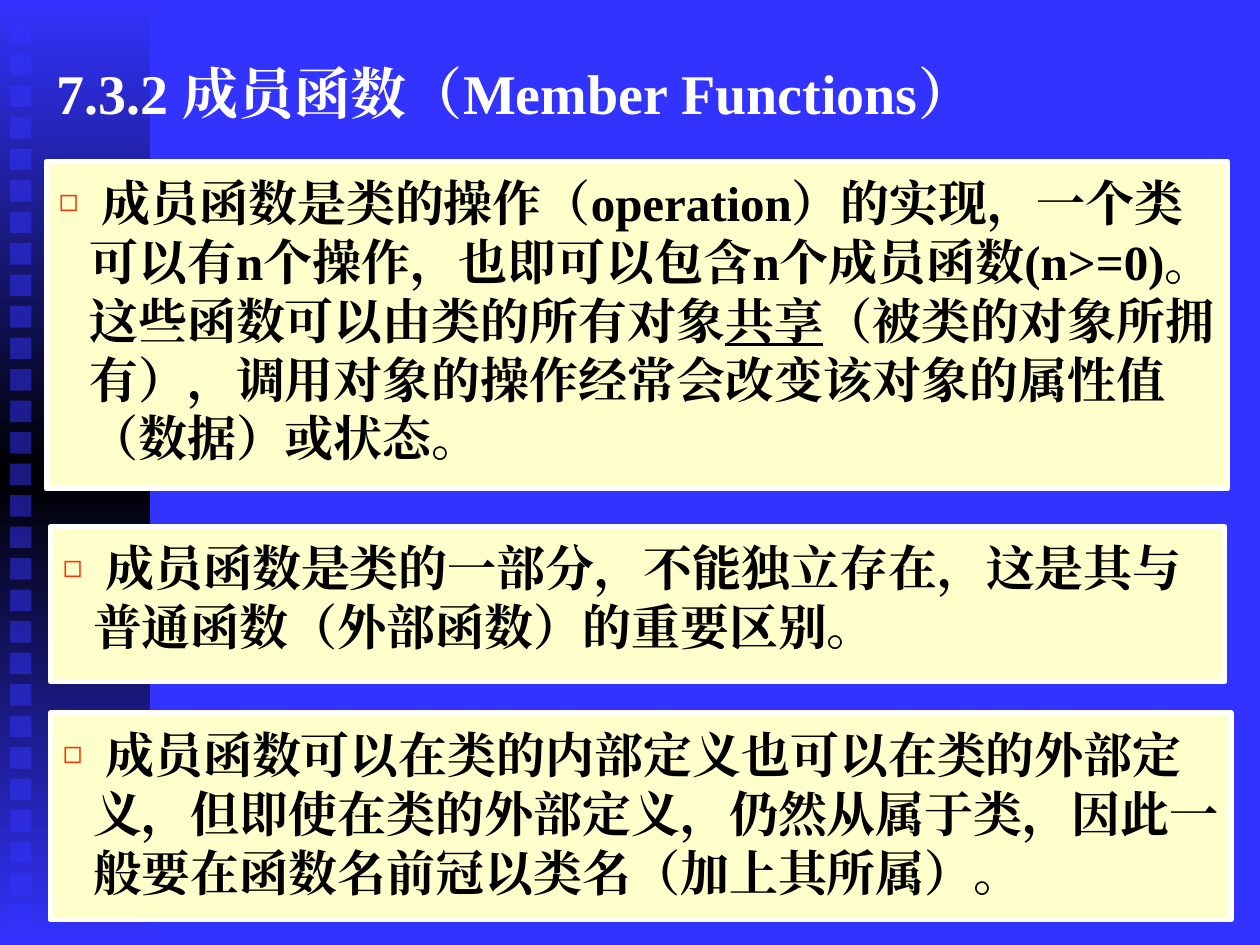
from dataclasses import dataclass

from lxml.etree import SubElement
from pptx import Presentation
from pptx.dml.color import RGBColor
from pptx.enum.shapes import MSO_SHAPE
from pptx.enum.text import MSO_ANCHOR, PP_ALIGN
from pptx.oxml import parse_xml
from pptx.oxml.ns import nsdecls, qn
from pptx.util import Inches, Pt


@dataclass(frozen=True)
class Theme:
    font: str = "Times New Roman"
    blue: str = "3333FF"
    black: str = "000000"
    white: str = "FFFFFF"
    cream: str = "FFFFCC"
    bullet: str = "FF3300"
    title_size: int = 32
    body_size: int = 28
    border: int = 3


class SlideBuilder:
    def __init__(self, prs, theme):
        self.theme = theme
        self.slide = prs.slides.add_slide(prs.slide_layouts[6])
        self.paint(self.slide.background.fill, theme.blue)

    def paint(self, fill, color):
        fill.solid()
        fill.fore_color.rgb = RGBColor.from_string(color)

    def rect(self, left, top, width, height, color):
        sp = self.slide.shapes.add_shape(
            MSO_SHAPE.RECTANGLE, Inches(left), Inches(top), Inches(width), Inches(height))
        sp.shadow.inherit = False
        self.paint(sp.fill, color)
        sp.line.fill.background()
        return sp

    def gradient_band(self, left, top, width, height):
        sp = self.rect(left, top, width, height, self.theme.blue)
        colors = (self.theme.blue, self.theme.black, self.theme.blue)
        stops = "".join(
            f'<a:gs pos="{i * 50000}"><a:srgbClr val="{c}"/></a:gs>'
            for i, c in enumerate(colors))
        grad = parse_xml(
            f'<a:gradFill {nsdecls("a")} rotWithShape="1"><a:gsLst>{stops}</a:gsLst>'
            '<a:lin ang="5400000" scaled="1"/></a:gradFill>')
        solid = sp._element.spPr.find(qn("a:solidFill"))
        solid.getparent().replace(solid, grad)

    def faded_square(self, left, top, size):
        sp = self.rect(left, top, size, size, self.theme.blue)
        color = sp._element.spPr.find(qn("a:solidFill")).find(qn("a:srgbClr"))
        SubElement(color, qn("a:alpha"), val="50000")

    def frame(self, sp, anchor, top_inset):
        tf = sp.text_frame
        tf.word_wrap = True
        tf.vertical_anchor = anchor
        tf.margin_left = tf.margin_right = Inches(0.1)
        tf.margin_top, tf.margin_bottom = Inches(top_inset), Inches(0.05)
        p = tf.paragraphs[0]
        p.alignment = PP_ALIGN.LEFT
        return p

    def run(self, p, text, size, color, bold=True, underline=False):
        r = p.add_run()
        r.text = text
        r.font.name = self.theme.font
        r.font.size = Pt(size)
        r.font.bold = bold
        r.font.underline = underline
        r.font.color.rgb = RGBColor.from_string(color)
        SubElement(r._r.get_or_add_rPr(), qn("a:ea"), typeface=self.theme.font)

    def title(self, left, top, width, height, text):
        sp = self.slide.shapes.add_textbox(
            Inches(left), Inches(top), Inches(width), Inches(height))
        p = self.frame(sp, MSO_ANCHOR.MIDDLE, 0.05)
        self.run(p, text, self.theme.title_size, self.theme.white)

    def bullet(self, p):
        pPr = p._p.get_or_add_pPr()
        pPr.set("marL", str(Inches(0.24)))
        pPr.set("indent", str(-Inches(0.24)))
        color = SubElement(pPr, qn("a:buClr"))
        SubElement(color, qn("a:srgbClr"), val=self.theme.bullet)
        SubElement(pPr, qn("a:buSzPct"), val="65000")
        SubElement(pPr, qn("a:buFont"), typeface=self.theme.font)
        SubElement(pPr, qn("a:buChar"), char="◻")

    def panel(self, left, top, width, height, runs):
        sp = self.rect(left, top, width, height, self.theme.cream)
        self.paint(sp.line.fill, self.theme.white)
        sp.line.width = Pt(self.theme.border)
        p = self.frame(sp, MSO_ANCHOR.TOP, 0.09)
        self.bullet(p)
        self.run(p, " ", self.theme.body_size, self.theme.black, bold=False)
        for text, underline in runs:
            self.run(p, text, self.theme.body_size, self.theme.black, underline=underline)


PANELS = [
    (0.37, 1.28, 9.37, 2.6, [
        ("成员函数是类的操作（operation）的实现，一个类可以有n个操作，也即可以包含n个成员函数"
         "(n>=0)。这些函数可以由类的所有对象", False),
        ("共享", True),
        ("（被类的对象所拥有），调用对象的操作经常会改变该对象的属性值（数据）或状态。", False)]),
    (0.4, 4.18, 9.32, 1.23, [
        ("成员函数是类的一部分，不能独立存在，这是其与普通函数（外部函数）的重要区别。", False)]),
    (0.4, 5.66, 9.37, 1.64, [
        ("成员函数可以在类的内部定义也可以在类的外部定义，但即使在类的外部定义，仍然从属于类，"
         "因此一般要在函数名前冠以类名（加上其所属）。", False)]),
]


def main():
    prs = Presentation()
    prs.slide_width, prs.slide_height = Inches(10), Inches(7.5)
    s = SlideBuilder(prs, Theme())
    s.gradient_band(0, 0, 1.19, 7.5)
    for i in range(29):
        s.faded_square(0.08, 0.18 + 0.25 * i, 0.17)
    s.title(0.35, 0.28, 9.21, 0.91, "7.3.2 成员函数（Member Functions）")
    for panel in PANELS:
        s.panel(*panel)
    prs.save("out.pptx")


if __name__ == "__main__":
    main()
